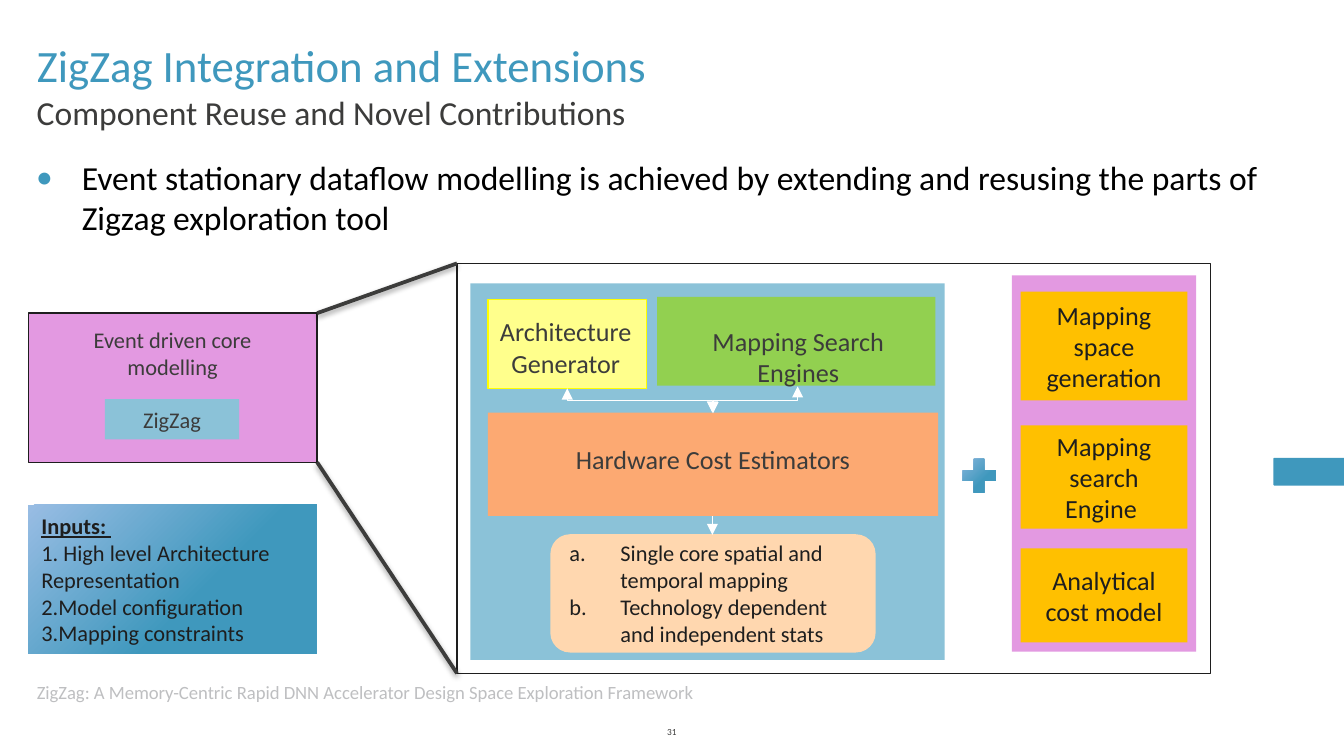
from dataclasses import dataclass
from typing import Optional

from lxml.etree import SubElement
from pptx import Presentation
from pptx.dml.color import RGBColor
from pptx.enum.shapes import MSO_CONNECTOR as Link, MSO_SHAPE as Kind
from pptx.enum.text import MSO_ANCHOR as Anchor, MSO_AUTO_SIZE as Fit, PP_ALIGN as Align
from pptx.oxml.ns import qn
from pptx.util import Inches, Pt

COLUMNS, ROWS = 1000, 562.5
CELL = Inches(10) / COLUMNS
FONT = "Calibri"
COLORS = {
    "blue": "3F98BD", "pale blue": "99BDE4", "sky": "8BC2D8", "pink": "E399E1",
    "yellow": "FFFF8C", "bright yellow": "FFFF00", "green": "92D050",
    "orange": "FCA972", "peach": "FFD7AF", "gold": "FFC000", "ink": "1E1E1E",
    "gray": "3C3C3B", "silver": "BEBFC1", "white": "FFFFFF", "black": "000000",
}


@dataclass
class Block:
    left: float
    top: float
    width: float
    height: float
    text: str = ""
    size: float = 14
    color: str = "ink"
    align: Align = Align.CENTER
    anchor: Anchor = Anchor.MIDDLE
    kind: Optional[Kind] = Kind.RECTANGLE
    fill: Optional[str] = None
    line: Optional[str] = None


@dataclass
class Wire:
    start: tuple
    end: tuple
    color: str = "white"
    width: float = 0.25
    kind: Link = Link.STRAIGHT
    turn: int = 0
    head: bool = False
    tail: bool = False
    shadow: bool = False


def grid(cells: float) -> int:
    return round(cells * CELL)


def rgb(name: str) -> RGBColor:
    return RGBColor.from_string(COLORS[name])


def write(frame, block: Block) -> None:
    frame.word_wrap = True
    frame.auto_size = Fit.NONE
    frame.vertical_anchor = block.anchor
    frame.text = block.text
    for para in frame.paragraphs:
        para.alignment = block.align
        for span in para.runs:
            span.font.name = FONT
            span.font.size = Pt(block.size)
            span.font.color.rgb = rgb(block.color)


def paint(shape, fill: Optional[str]) -> None:
    if fill is None:
        shape.fill.background()
    elif fill == "gradient":
        shape.fill.gradient()
        shape.fill.gradient_angle = 315
        stops = zip(shape.fill.gradient_stops, (0, 0.6), ("pale blue", "blue"))
        for stop, position, name in stops:
            stop.position = position
            stop.color.rgb = rgb(name)
    else:
        shape.fill.solid()
        shape.fill.fore_color.rgb = rgb(fill)


def draw_block(page, block: Block):
    place = [grid(n) for n in (block.left, block.top, block.width, block.height)]
    if block.kind is None:
        shape = page.shapes.add_textbox(*place)
    else:
        shape = page.shapes.add_shape(block.kind, *place)
        shape.shadow.inherit = False
        paint(shape, block.fill)
        if block.line:
            shape.line.color.rgb = rgb(block.line)
            shape.line.width = Pt(0.75)
        else:
            shape.line.fill.background()
    if block.text:
        write(shape.text_frame, block)
    return shape


def draw_wire(page, wire: Wire) -> None:
    ends = [grid(n) for n in wire.start + wire.end]
    connector = page.shapes.add_connector(wire.kind, *ends)
    connector.line.color.rgb = rgb(wire.color)
    connector.line.width = Pt(wire.width)
    props = connector._element.spPr
    if wire.turn:
        props.find(qn("a:xfrm")).set("rot", str(wire.turn * 60000))
    outline = props.find(qn("a:ln"))
    for shown, tag in ((wire.head, "a:headEnd"), (wire.tail, "a:tailEnd")):
        if shown:
            SubElement(outline, qn(tag), type="triangle")
    effects = SubElement(props, qn("a:effectLst"))
    if wire.shadow:
        outer = SubElement(effects, qn("a:outerShdw"), blurRad=str(Pt(3.1)),
                           dist=str(Pt(1.6)), dir="5400000", rotWithShape="0")
        tint = SubElement(outer, qn("a:srgbClr"), val=COLORS["black"])
        SubElement(tint, qn("a:alpha"), val="38000")


def add_bullet(para, indent: float, tag: str, color: Optional[str] = None, **marks) -> None:
    props = para._p.get_or_add_pPr()
    props.set("marL", str(grid(indent)))
    props.set("indent", str(-grid(indent)))
    if color:
        SubElement(SubElement(props, qn("a:buClr")), qn("a:srgbClr"), val=COLORS[color])
    SubElement(props, qn("a:buFont"), typeface=FONT)
    SubElement(props, qn(tag), **marks)


def label(left: float, top: float, width: float, height: float, text: str, size: float,
          color: str = "gray", align: Align = Align.CENTER, anchor: Anchor = Anchor.TOP) -> Block:
    return Block(left, top, width, height, text, size, color, align, anchor, kind=None)


TITLE = label(17.5, 23, 957, 50, "ZigZag Integration and Extensions", 24, "blue",
              Align.LEFT, Anchor.BOTTOM)
SUMMARY = label(17, 112, 957, 69, "Event stationary dataflow modelling is achieved by extending "
                "and resusing the parts of Zigzag exploration tool", 18, "black",
                Align.LEFT, Anchor.MIDDLE)
INPUTS = Block(21, 375.5, 214.5, 111, "Inputs: \v1. High level Architecture Representation\n"
               "2.Model configuration\n3.Mapping constraints", 12, align=Align.LEFT, fill="gradient")
RESULTS = Block(409.5, 397.5, 242, 88, "Single core spatial and temporal mapping\n"
                "Technology dependent and independent stats", 12, align=Align.LEFT,
                kind=Kind.ROUNDED_RECTANGLE, fill="peach")
BLOCKS = [
    label(17.5, 63.5, 957, 40, "Component Reuse and Novel Contributions", 18, align=Align.LEFT),
    label(453, 535, 94, 19, "31", 5, anchor=Anchor.MIDDLE),
    Block(21, 233, 215, 111, fill="pink", line="ink"),
    Block(78, 297, 100, 30, fill="sky"),
    label(78, 297, 100, 30, "ZigZag", 12),
    label(37, 238, 183, 50, "Event driven core modelling", 12),
    Block(350, 211, 353, 280, fill="sky"),
    Block(363, 223, 118, 66, fill="yellow", line="bright yellow"),
    Block(489, 221, 207, 66, fill="green"),
    Block(363, 307, 335, 77, fill="orange"),
    label(360, 230, 122, 57, "Architecture\vGenerator", 14),
    label(490.5, 237, 207, 34, "Mapping Search Engines", 14),
    label(363, 325, 335, 34, "Hardware Cost Estimators", 14),
    Block(753, 205, 137, 280, fill="pink"),
    Block(759.5, 217, 124, 81, "Mapping space generation", fill="gold"),
    Block(759.5, 316.5, 124, 77, "Mapping search Engine ", fill="gold"),
    Block(759.5, 408, 124, 70, "Analytical cost model", fill="gold"),
    Block(712, 337, 33, 34, kind=Kind.MATH_PLUS, fill="gradient"),
    label(17.5, 501.5, 912, 47, "ZigZag: A Memory-Centric Rapid DNN Accelerator Design Space "
          "Exploration Framework", 10, "silver", Align.LEFT),
    Block(948, 331.5, 104, 39, kind=Kind.RIGHT_ARROW, fill="blue", line="blue"),
    Block(340, 196, 560.5, 305, line="ink"),
]
WIRES = [
    Wire((552, 266), (572, 329), kind=Link.ELBOW, turn=90, head=True, tail=True),
    Wire((485, 244), (467, 352), kind=Link.ELBOW, turn=270, head=True, tail=True),
    Wire((530, 384), (530, 398), tail=True),
    Wire((236, 233), (340, 196), "gray", 2, shadow=True),
    Wire((236, 344), (340, 501), "gray", 2, shadow=True),
]


def main() -> None:
    deck = Presentation()
    deck.slide_width, deck.slide_height = grid(COLUMNS), grid(ROWS)
    page = deck.slides.add_slide(deck.slide_layouts[5])
    title = page.shapes.title
    title.left, title.top = grid(TITLE.left), grid(TITLE.top)
    title.width, title.height = grid(TITLE.width), grid(TITLE.height)
    write(title.text_frame, TITLE)

    summary = draw_block(page, SUMMARY)
    add_bullet(summary.text_frame.paragraphs[0], 34, "a:buChar", "blue", char="•")
    for block in BLOCKS:
        draw_block(page, block)

    inputs = draw_block(page, INPUTS)
    heading = inputs.text_frame.paragraphs[0].runs[0]
    heading.font.bold = heading.font.underline = True

    results = draw_block(page, RESULTS)
    for para in results.text_frame.paragraphs:
        add_bullet(para, 38, "a:buAutoNum", type="alphaLcPeriod")
    for wire in WIRES:
        draw_wire(page, wire)
    deck.save("out.pptx")


if __name__ == "__main__":
    main()
